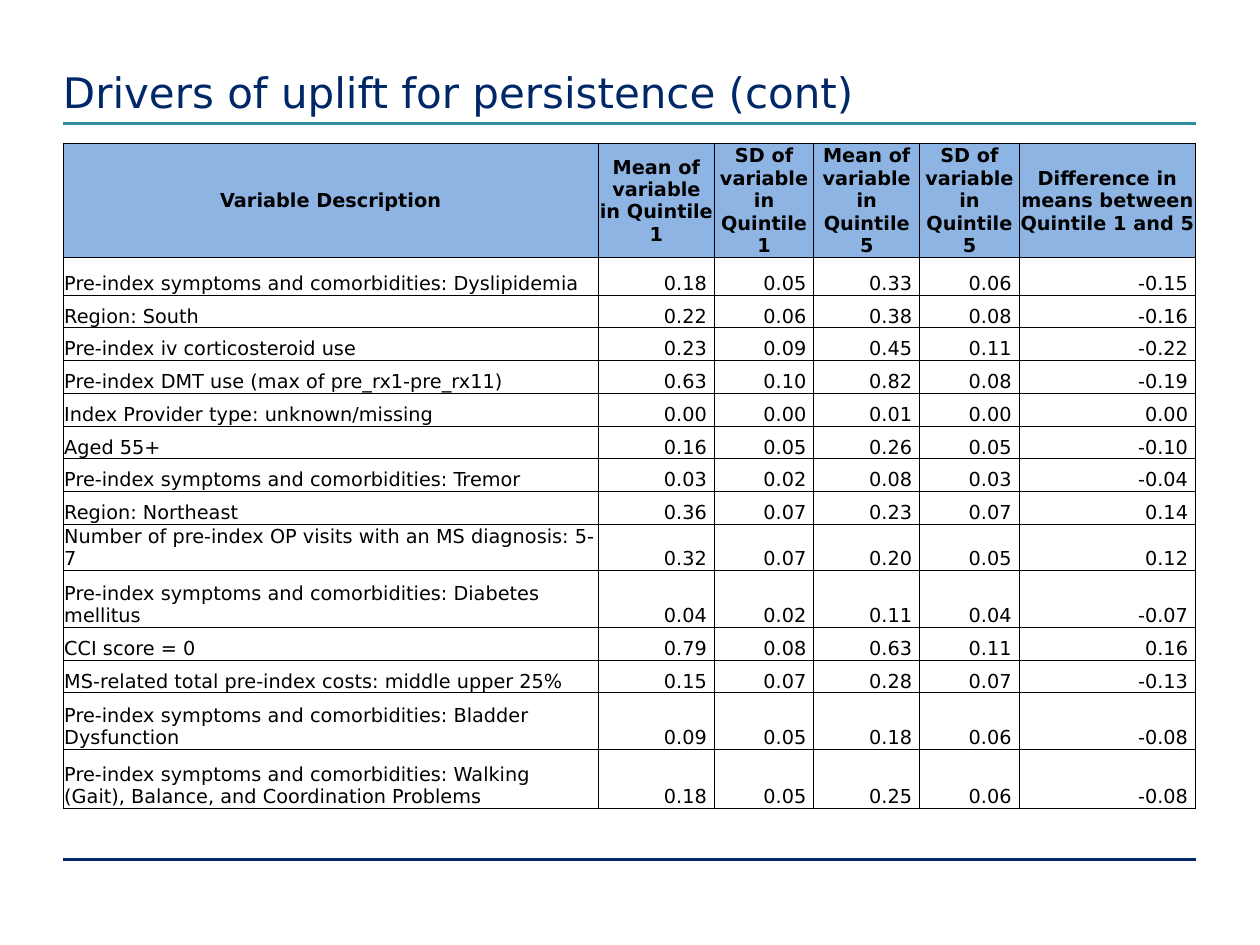
"""Build the slide on drivers of uplift for persistence."""
from lxml import etree
from pptx import Presentation
from pptx.dml.color import RGBColor
from pptx.enum.shapes import MSO_CONNECTOR
from pptx.enum.text import MSO_ANCHOR, PP_ALIGN
from pptx.oxml.ns import qn
from pptx.util import Inches, Pt

STRAIGHT = MSO_CONNECTOR.STRAIGHT
MIDDLE, BOTTOM = MSO_ANCHOR.MIDDLE, MSO_ANCHOR.BOTTOM
LEFT, CENTER, RIGHT = PP_ALIGN.LEFT, PP_ALIGN.CENTER, PP_ALIGN.RIGHT
FONT = "DejaVu Sans"
COLORS = {"navy": "002868", "teal": "2E8D9E", "head": "8DB4E3", "black": "000000"}

HEADS = [
    "Variable Description",
    "Mean of variable in Quintile 1",
    "SD of variable in Quintile 1",
    "Mean of variable in Quintile 5",
    "SD of variable in Quintile 5",
    "Difference in means between Quintile 1 and 5",
]
SIGNS = "Pre-index symptoms and comorbidities: "
ROWS = [
    (0.3, SIGNS + "Dyslipidemia", 0.18, 0.05, 0.33, 0.06, -0.15),
    (0.26, "Region: South", 0.22, 0.06, 0.38, 0.08, -0.16),
    (0.26, "Pre-index iv corticosteroid use", 0.23, 0.09, 0.45, 0.11, -0.22),
    (0.26, "Pre-index DMT use (max of pre_rx1-pre_rx11)", 0.63, 0.10, 0.82, 0.08, -0.19),
    (0.26, "Index Provider type: unknown/missing", 0.00, 0.00, 0.01, 0.00, 0.00),
    (0.26, "Aged 55+", 0.16, 0.05, 0.26, 0.05, -0.10),
    (0.26, SIGNS + "Tremor", 0.03, 0.02, 0.08, 0.03, -0.04),
    (0.26, "Region: Northeast", 0.36, 0.07, 0.23, 0.07, 0.14),
    (0.26, "Number of pre-index OP visits with an MS diagnosis: 5-7", 0.32, 0.07, 0.20, 0.05, 0.12),
    (0.45, SIGNS + "Diabetes mellitus", 0.04, 0.02, 0.11, 0.04, -0.07),
    (0.26, "CCI score = 0", 0.79, 0.08, 0.63, 0.11, 0.16),
    (0.26, "MS-related total pre-index costs: middle upper 25%", 0.15, 0.07, 0.28, 0.07, -0.13),
    (0.45, SIGNS + "Bladder Dysfunction", 0.09, 0.05, 0.18, 0.06, -0.08),
    (0.47, SIGNS + "Walking (Gait), Balance, and Coordination Problems", 0.18, 0.05, 0.25, 0.06, -0.08),
]
WIDTHS = [4.25, 0.92, 0.79, 0.84, 0.79, 1.4]
HEIGHTS = [0.76] + [row[0] for row in ROWS]
GRID = [HEADS] + [[row[1]] + [f"{num:.2f}" for num in row[2:]] for row in ROWS]


def style(para, size, color, bold, align):
    para.alignment = align
    for run in para.runs:
        run.font.name = FONT
        run.font.size = Pt(size)
        run.font.bold = bold
        run.font.color.rgb = RGBColor.from_string(COLORS[color])


def edge(cell, widths):
    props = cell._tc.get_or_add_tcPr()
    for spot, (side, width) in enumerate(widths.items()):
        line = etree.Element(qn("a:ln" + side), w=str(Pt(width)))
        fill = etree.SubElement(line, qn("a:solidFill"))
        etree.SubElement(fill, qn("a:srgbClr"), val=COLORS["black"])
        props.insert(spot, line)


prs = Presentation()
prs.slide_width, prs.slide_height = Inches(10), Inches(7.5)
slide = prs.slides.add_slide(prs.slide_layouts[6])

for y, color in [(0.98, "teal"), (6.82, "navy")]:
    rule = slide.shapes.add_connector(STRAIGHT, Inches(0.5), Inches(y), Inches(9.49), Inches(y))
    rule.line.color.rgb = RGBColor.from_string(COLORS[color])
    rule.line.width = Pt(1.5)
    etree.SubElement(rule._element.spPr, qn("a:effectLst"))

frame = slide.shapes.add_table(
    len(GRID), len(WIDTHS), Inches(0.5), Inches(1.14), Inches(9), Inches(sum(HEIGHTS))
)
table = frame.table
table.first_row = table.horz_banding = False
for col, width in zip(table.columns, WIDTHS):
    col.width = Inches(width)

last = len(GRID) - 1
for r, texts in enumerate(GRID):
    table.rows[r].height = Inches(HEIGHTS[r])
    for c, text in enumerate(texts):
        cell = table.cell(r, c)
        head = r == 0
        align = CENTER if head else RIGHT if c else LEFT
        cell.text_frame.text = text
        cell.vertical_anchor = MIDDLE if head else BOTTOM
        cell.margin_left = cell.margin_top = Inches(0.01)
        cell.margin_right = Inches(0.06 if align == RIGHT else 0.01)
        cell.margin_bottom = 0
        style(cell.text_frame.paragraphs[0], 11, "black", head, align)
        if head:
            cell.fill.solid()
            cell.fill.fore_color.rgb = RGBColor.from_string(COLORS["head"])
        else:
            cell.fill.background()
        edge(cell, {"L": 0.5, "R": 0.5, "T": 1 if head else 0.5, "B": 1 if r == last else 0.5})

title = slide.shapes.add_textbox(Inches(0.5), Inches(0.03), Inches(9), Inches(0.9)).text_frame
title.word_wrap = True
title.vertical_anchor = BOTTOM
title.margin_left = title.margin_right = title.margin_top = title.margin_bottom = 0
title.text = "Drivers of uplift for persistence (cont)"
style(title.paragraphs[0], 24, "navy", False, LEFT)

prs.save("out.pptx")
